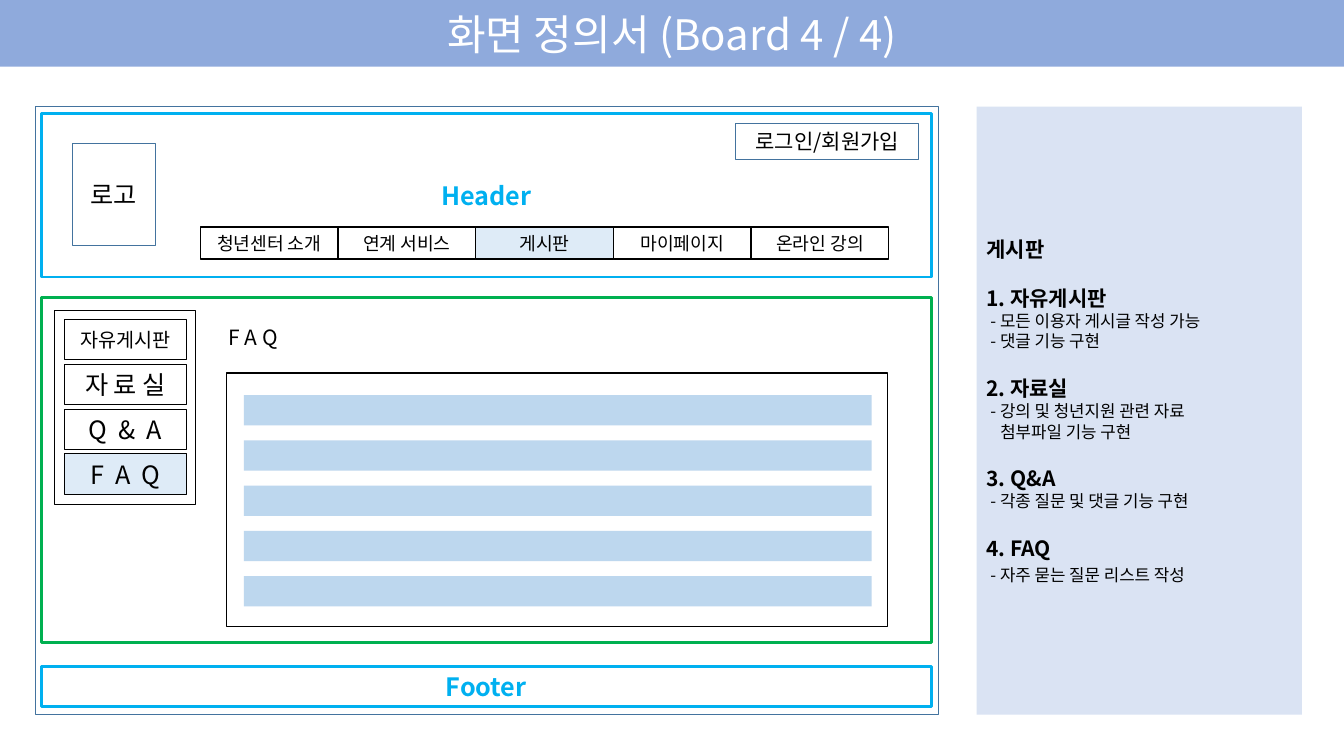
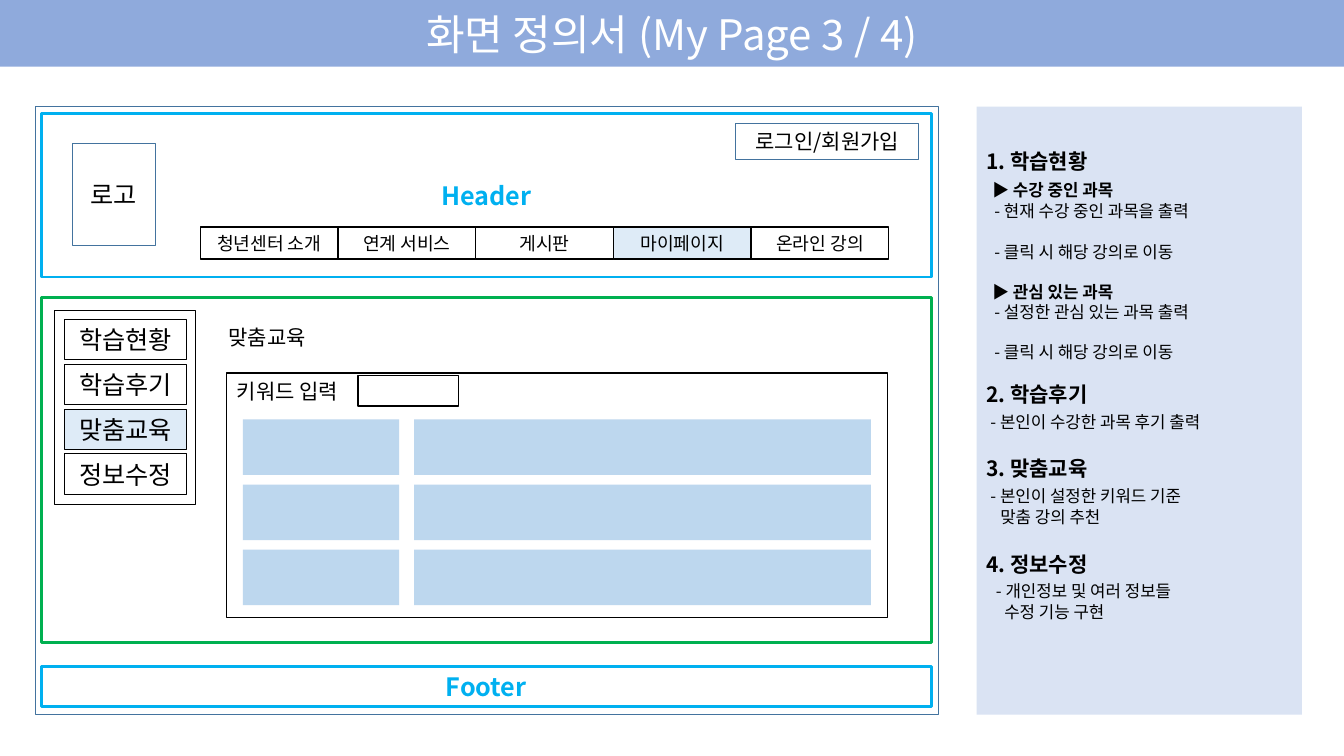
from dataclasses import dataclass

from lxml import etree
from pptx import Presentation
from pptx.dml.color import RGBColor
from pptx.enum.shapes import MSO_SHAPE as Preset
from pptx.enum.text import MSO_ANCHOR as Anchor, PP_ALIGN as Align
from pptx.oxml.ns import qn
from pptx.util import Cm, Pt

FONT = "Noto Sans CJK KR"
BLACK, WHITE = "000000", "FFFFFF"
BAND, SKY, GREEN, STEEL = "8FAADC", "00B0F0", "00B050", "43739E"
NOTE_FILL, ACTIVE, CONTENT = "DAE3F3", "DEEBF7", "BDD7EE"

WIDTH, HEIGHT = 33.87, 19.05
MENU = ["청년센터 소개", "연계 서비스", "게시판", "마이페이지", "온라인 강의"]


@dataclass
class Box:
    """A rectangle in centimetres."""
    left: float
    top: float
    width: float
    height: float

    def inside(self, left, top, width, height):
        """A box given relative to this one's top left corner."""
        return Box(self.left + left, self.top + top, width, height)


TITLE_BOX = Box(0, 0, WIDTH, 1.68)
FRAME_BOX = Box(0.89, 2.69, 22.76, 15.32)
NOTES_BOX = Box(24.61, 2.69, 8.2, 15.32)


@dataclass
class Note:
    text: str
    gap: float = 0  # points above
    indent: float = 0.1  # centimetres
    size: int = 12
    bold: bool = False


def heading(text, gap=17.5):
    return Note(text, gap, 0, 15, True)


def color(code):
    return RGBColor.from_string(code)


def set_font(para, size, code=BLACK, bold=False, spacing=0):
    """Set Latin and East Asian fonts alike; spacing is in points."""
    font = para.font
    font.name, font.size, font.bold = FONT, Pt(size), bold
    font.color.rgb = color(code)
    props = para._p.pPr.find(qn("a:defRPr"))
    etree.SubElement(props, qn("a:ea")).set("typeface", FONT)
    if spacing:
        props.set("spc", str(spacing * 100))


def add_box(page, box, fill=None, line=None, weight=0.75):
    shape = page.shapes.add_shape(
        Preset.RECTANGLE, Cm(box.left), Cm(box.top), Cm(box.width), Cm(box.height))
    shape.shadow.inherit = False
    if fill:
        shape.fill.solid()
        shape.fill.fore_color.rgb = color(fill)
    else:
        shape.fill.background()
    if line:
        shape.line.color.rgb = color(line)
        shape.line.width = Pt(weight)
    else:
        shape.line.fill.background()
    return shape


def write(shape, text, size, align=Align.CENTER, **font):
    frame = shape.text_frame
    frame.word_wrap = True
    frame.vertical_anchor = Anchor.MIDDLE
    frame.margin_top = frame.margin_bottom = 0
    para = frame.paragraphs[0]
    para.text, para.alignment = text, align
    set_font(para, size, **font)


def draw_label(page, box, text):
    label = page.shapes.add_textbox(
        Cm(box.left), Cm(box.top), Cm(box.width), Cm(box.height))
    write(label, text, 15, Align.LEFT)


def draw_title(page, box, text):
    write(add_box(page, box, BAND), text, 30, code=WHITE)


def draw_header(page, box, active):
    write(add_box(page, box, line=SKY, weight=2), "Header", 18, code=SKY, bold=True)
    write(add_box(page, box.inside(0.79, 0.74, 2.08, 2.57), line=STEEL), "로고", 18)
    write(add_box(page, box.inside(17.5, 0.25, 4.62, 0.89), line=STEEL),
          "로그인/회원가입", 15)
    for index, name in enumerate(MENU):
        tab = box.inside(4.01 + index * 3.47, 2.85, 3.47, 0.81)
        fill = ACTIVE if name == active else None
        write(add_box(page, tab, fill, BLACK, 1), name, 13)


def draw_side_menu(page, box, items, active):
    """Items are (text, size, letter spacing)."""
    add_box(page, box, line=BLACK, weight=1)
    for index, (text, size, spacing) in enumerate(items):
        button = box.inside(0.26, 0.23 + index * 1.13, 3.07, 1.02)
        fill = ACTIVE if index == active else None
        write(add_box(page, button, fill, BLACK), text, size, spacing=spacing)


def draw_list(page, box):
    add_box(page, box, line=BLACK)
    for row in range(5):
        add_box(page, box.inside(0.43, 0.56 + row * 1.14, 15.82, 0.76), CONTENT)


def draw_course_grid(page, box):
    add_box(page, box, line=BLACK)
    draw_label(page, box.inside(0, 0.07, 3.3, 0.76), "키워드 입력")
    add_box(page, box.inside(3.3, 0.07, 2.54, 0.76), line=BLACK, weight=1)
    for row in range(3):
        for left, width in ((0.4, 3.94), (4.72, 11.51)):
            add_box(page, box.inside(left, 1.17 + row * 1.64, width, 1.4), CONTENT)


def draw_notes(page, box, notes, bottom):
    """Notes centred in the box above a bottom margin in points."""
    frame = add_box(page, box, NOTE_FILL).text_frame
    frame.word_wrap = True
    frame.vertical_anchor = Anchor.MIDDLE
    frame.margin_bottom = Pt(bottom)
    for index, note in enumerate(notes):
        para = frame.add_paragraph() if index else frame.paragraphs[0]
        para.text, para.alignment = note.text, Align.LEFT
        para.space_before = Pt(note.gap)
        para.line_spacing = Pt(note.size * 1.2)
        set_font(para, note.size, bold=note.bold)
        para._p.pPr.set("marL", str(Cm(note.indent)))


def draw_screen(deck, title, tab, items, active, label, draw_panel, panel_height,
                notes, notes_bottom=3.6):
    page = deck.slides.add_slide(deck.slide_layouts[6])
    draw_title(page, TITLE_BOX, title)
    add_box(page, FRAME_BOX, line=STEEL, weight=1)
    draw_header(page, FRAME_BOX.inside(0.15, 0.18, 22.43, 4.11), tab)
    body = FRAME_BOX.inside(0.15, 4.8, 22.43, 8.71)
    add_box(page, body, line=GREEN, weight=2)
    draw_side_menu(page, body.inside(0.33, 0.33, 3.56, 4.9), items, active)
    draw_label(page, body.inside(4.47, 0.56, 4, 0.89), label)
    draw_panel(page, body.inside(4.68, 1.91, 16.64, panel_height))
    footer = add_box(page, FRAME_BOX.inside(0.15, 14.1, 22.43, 1.02), line=SKY, weight=2)
    write(footer, "Footer", 18, code=SKY, bold=True)
    draw_notes(page, NOTES_BOX, notes, notes_bottom)


BOARD_NOTES = [
    heading("게시판", 0),
    heading("1. 자유게시판"),
    Note("- 모든 이용자 게시글 작성 가능"),
    Note("- 댓글 기능 구현"),
    heading("2. 자료실"),
    Note("- 강의 및 청년지원 관련 자료"),
    Note("첨부파일 기능 구현", indent=0.35),
    heading("3. Q&A"),
    Note("- 각종 질문 및 댓글 기능 구현"),
    heading("4. FAQ"),
    Note("- 자주 묻는 질문 리스트 작성", 3),
]

MY_PAGE_NOTES = [
    heading("1. 학습현황", 0),
    Note("▶ 수강 중인 과목", 4, 0.15, bold=True),
    Note("- 현재 수강 중인 과목을 출력", 1, 0.2),
    Note("- 클릭 시 해당 강의로 이동", 14.4, 0.2),
    Note("▶ 관심 있는 과목", 14.4, 0.15, bold=True),
    Note("- 설정한 관심 있는 과목 출력", 0, 0.2),
    Note("- 클릭 시 해당 강의로 이동", 14.4, 0.2),
    heading("2. 학습후기", 14),
    Note("- 본인이 수강한 과목 후기 출력", 3),
    heading("3. 맞춤교육"),
    Note("- 본인이 설정한 키워드 기준", 3),
    Note("맞춤 강의 추천", 0.7, 0.35),
    heading("4. 정보수정"),
    Note("- 개인정보 및 여러 정보들", 3, 0.24),
    Note("수정 기능 구현", 0.7, 0.45),
]


def main():
    deck = Presentation()
    deck.slide_width, deck.slide_height = Cm(WIDTH), Cm(HEIGHT)
    board_items = [("자유게시판", 14, 0), ("자 료 실", 18, 0),
                   ("Q & A", 18, 2), ("F A Q", 18, 2)]
    draw_screen(deck, "화면 정의서 (Board 4 / 4)", "게시판", board_items, 3,
                "F A Q", draw_list, 6.4, BOARD_NOTES)
    my_page_items = [(name, 18, 0)
                     for name in ("학습현황", "학습후기", "맞춤교육", "정보수정")]
    draw_screen(deck, "화면 정의서 (My Page 3 / 4)", "마이페이지", my_page_items, 2,
                "맞춤교육", draw_course_grid, 6.15, MY_PAGE_NOTES, 40)
    deck.save("out.pptx")


if __name__ == "__main__":
    main()
